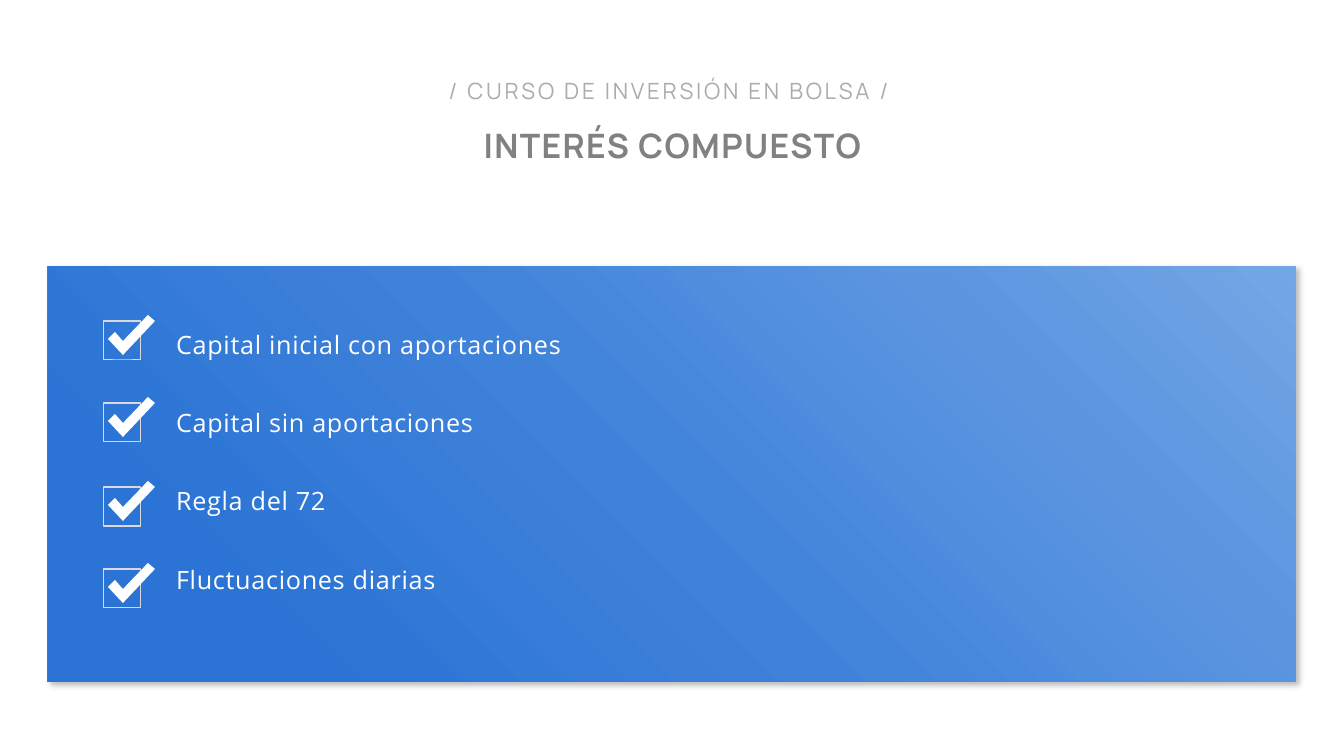
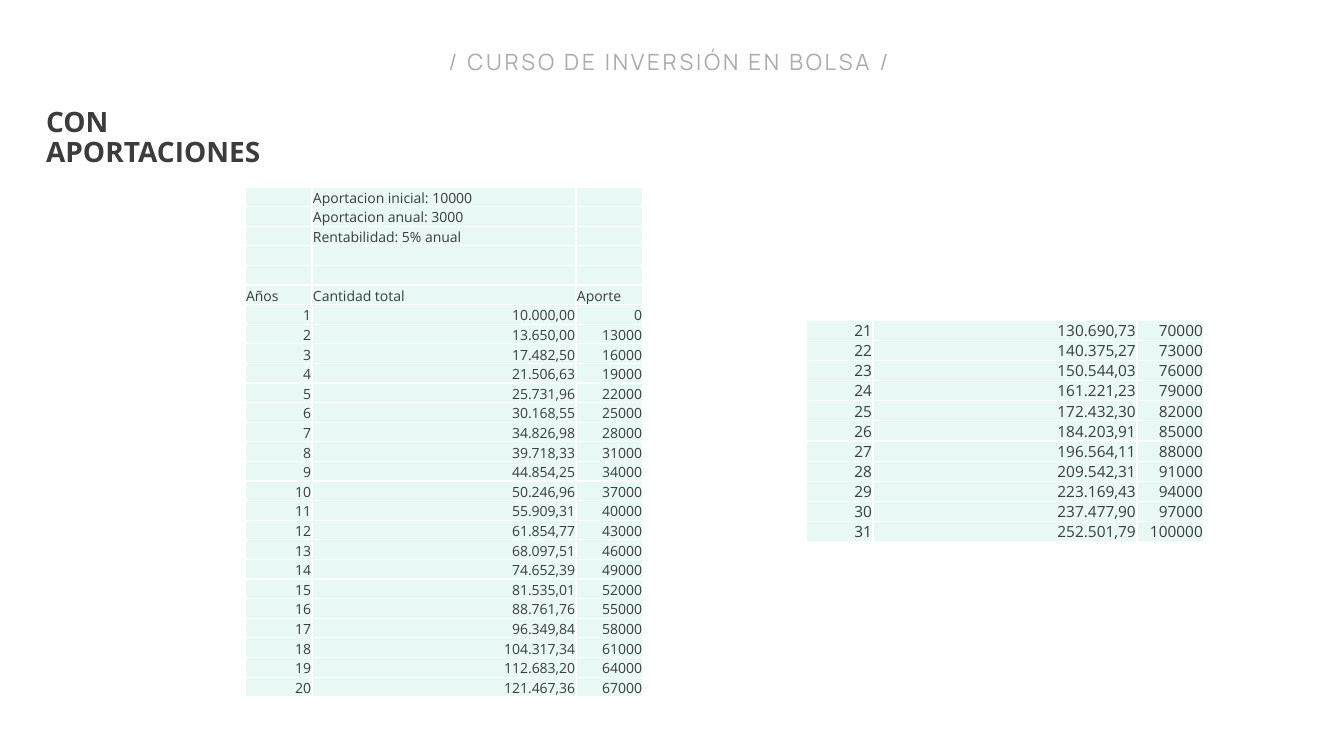
from lxml import etree
from pptx import Presentation
from pptx.dml.color import RGBColor
from pptx.enum.shapes import MSO_SHAPE
from pptx.enum.text import MSO_ANCHOR, MSO_AUTO_SIZE, PP_ALIGN
from pptx.oxml.ns import qn
from pptx.util import Pt

RECTANGLE = MSO_SHAPE.RECTANGLE
TOP, BOTTOM = MSO_ANCHOR.TOP, MSO_ANCHOR.BOTTOM
LEFT, CENTER, RIGHT = PP_ALIGN.LEFT, PP_ALIGN.CENTER, PP_ALIGN.RIGHT
NO_AUTOFIT = MSO_AUTO_SIZE.NONE

WHITE = RGBColor(0xFF, 0xFF, 0xFF)
DARK = RGBColor(0x3C, 0x3C, 0x3C)
TITLE_GRAY = RGBColor(0x81, 0x81, 0x81)
COURSE_GRAY = RGBColor(0xAC, 0xAC, 0xAC)
BOX_GRAY = RGBColor(0xD9, 0xD9, 0xD9)
SHADOW_GRAY = RGBColor(0x56, 0x56, 0x56)
MINT = RGBColor(0xE8, 0xF8, 0xF4)
PANEL_STOPS = [(0, RGBColor(0x73, 0xA6, 0xE5)), (23, RGBColor(0x5C, 0x96, 0xE0)),
               (53, RGBColor(0x3F, 0x82, 0xDA)), (84, RGBColor(0x2B, 0x74, 0xD5))]
HEADING_FONT, BODY_FONT = "Manrope", "Open Sans"
PX = 914400 / 100.8  # EMU per pixel


def px(*lengths):
    return [round(length * PX) for length in lengths]


def write(shape, box, lines, font, size, color, bold=False, align=LEFT,
          tracking=0, line_spacing=0.9, gap=0):
    """Place a text shape and fill it, one paragraph per line."""
    shape.left, shape.top, shape.width, shape.height = px(*box)
    frame = shape.text_frame
    frame.word_wrap = True
    frame.auto_size = NO_AUTOFIT
    frame.vertical_anchor = TOP
    for i, line in enumerate(lines):
        paragraph = frame.add_paragraph() if i else frame.paragraphs[0]
        paragraph.alignment = align
        paragraph.line_spacing = line_spacing
        paragraph.space_before, paragraph.space_after = Pt(0), Pt(gap)
        properties = paragraph._p.get_or_add_pPr()
        properties.set("marL", "0")
        properties.set("indent", "0")
        etree.SubElement(properties, qn("a:buNone"))
        run = paragraph.add_run()
        run.text = line
        run.font.name, run.font.size, run.font.bold = font, Pt(size), bold
        run.font.color.rgb = color
        run._r.get_or_add_rPr().set("spc", str(tracking))


prs = Presentation()
prs.slide_width, prs.slide_height = px(1344, 756)
topics = prs.slides.add_slide(prs.slide_layouts[1])
growth = prs.slides.add_slide(prs.slide_layouts[5])

# Course line on both slides
for slide, top in ((topics, 75), (growth, 46)):
    course = slide.shapes.add_textbox(*px(418, top, 502, 37))
    write(course, (418, top, 502, 37), ["/ CURSO DE INVERSIÓN EN BOLSA /"],
          HEADING_FONT, 16, COURSE_GRAY, align=CENTER, tracking=200)

# Titles
write(topics.shapes.title, (233, 124, 879, 50), ["INTERÉS COMPUESTO"],
      HEADING_FONT, 24, TITLE_GRAY, bold=True, align=CENTER, tracking=100)
write(growth.shapes.title, (36, 103, 300, 78), ["CON APORTACIONES"],
      BODY_FONT, 20, DARK, bold=True)

# Topic list
topic_list = topics.placeholders[1]
write(topic_list, (166, 309, 1109, 320),
      ["Capital inicial con aportaciones", "Capital sin aportaciones",
       "Regla del 72", "Fluctuaciones diarias"],
      BODY_FONT, 18, WHITE, tracking=50, line_spacing=1.5, gap=23.5)

# Gradient panel behind the list
panel = topics.shapes.add_shape(RECTANGLE, *px(48, 266, 1248, 416))
topic_list._element.addprevious(panel._element)
panel.line.fill.background()
panel.fill.gradient()
panel.fill.gradient_angle = 225
stops = panel._element.spPr.find(".//" + qn("a:gsLst"))
for stop in list(stops):
    stops.remove(stop)
for position, color in PANEL_STOPS:
    stop = etree.SubElement(stops, qn("a:gs"), pos=str(position * 1000))
    etree.SubElement(stop, qn("a:srgbClr"), val=str(color))
panel.shadow.inherit = False
effects = panel._element.spPr.find(qn("a:effectLst"))
shadow = etree.SubElement(effects, qn("a:outerShdw"), blurRad=str(Pt(4)),
                          dist=str(Pt(3)), dir="2700000", algn="tl", rotWithShape="0")
shadow_color = etree.SubElement(shadow, qn("a:srgbClr"), val=str(SHADOW_GRAY))
etree.SubElement(shadow_color, qn("a:alpha"), val="40000")

# Ticked boxes
TICK = [(7, 17), (15, 26), (40, 0), (47, 6), (15, 40), (0, 24)]
for box_top in (321, 403, 487, 569):
    checkbox = topics.shapes.add_shape(RECTANGLE, *px(104, box_top, 37, 39))
    checkbox.fill.background()
    checkbox.line.color.rgb = BOX_GRAY
    checkbox.line.width = Pt(0.75)
    checkbox.shadow.inherit = False

    outline = topics.shapes.build_freeform(*TICK[0], scale=PX)
    outline.add_line_segments(TICK[1:], close=True)
    tick = outline.convert_to_shape(*px(108, box_top - 6))
    tick.fill.solid()
    tick.fill.fore_color.rgb = WHITE
    tick.line.fill.background()
    tick.shadow.inherit = False

# Savings by year: 10000 at first, 3000 more each year
TOTALS = """10.000,00 13.650,00 17.482,50 21.506,63 25.731,96 30.168,55 34.826,98
    39.718,33 44.854,25 50.246,96 55.909,31 61.854,77 68.097,51 74.652,39 81.535,01
    88.761,76 96.349,84 104.317,34 112.683,20 121.467,36 130.690,73 140.375,27
    150.544,03 161.221,23 172.432,30 184.203,91 196.564,11 209.542,31 223.169,43
    237.477,90 252.501,79""".split()
years = [(str(year), total, str(10000 + 3000 * (year - 1) if year > 1 else 0))
         for year, total in enumerate(TOTALS, 1)]
intro = [("", "Aportacion inicial: 10000", ""), ("", "Aportacion anual: 3000", ""),
         ("", "Rentabilidad: 5% anual", ""), ("", "", ""), ("", "", ""),
         ("Años", "Cantidad total", "Aporte")]
COLUMNS = px(67, 264, 67)

# Tables: left, top, height, font size, rows, number of left-aligned rows
for left, top, height, size, rows, intro_count in (
        (245, 187, 510, 10, intro + years[:20], len(intro)),
        (806, 320, 222, 11, years[20:], 0)):
    savings = growth.shapes.add_table(len(rows), len(COLUMNS),
                                      *px(left, top, 398, height)).table
    savings.first_row = savings.horz_banding = False
    for column, width in zip(savings.columns, COLUMNS):
        column.width = width
    for r, row in enumerate(rows):
        savings.rows[r].height = px(height / len(rows))[0]
        for c, value in enumerate(row):
            cell = savings.cell(r, c)
            cell.margin_left, cell.margin_right, cell.margin_top, cell.margin_bottom = px(1, 1, 0, 0)
            cell.vertical_anchor = BOTTOM
            cell_properties = cell._tc.get_or_add_tcPr()
            for side in ("a:lnL", "a:lnR", "a:lnT", "a:lnB"):
                border = etree.SubElement(cell_properties, qn(side), w=str(Pt(1)))
                border_fill = etree.SubElement(border, qn("a:solidFill"))
                etree.SubElement(border_fill, qn("a:srgbClr"), val=str(WHITE))
            cell.fill.solid()
            cell.fill.fore_color.rgb = MINT

            paragraph = cell.text_frame.paragraphs[0]
            paragraph.alignment = LEFT if r < intro_count else RIGHT
            paragraph.line_spacing = 0.9
            if value:
                run = paragraph.add_run()
                run.text = value
                run.font.name, run.font.size = BODY_FONT, Pt(size)
                run.font.color.rgb = DARK
            else:
                etree.SubElement(paragraph._p, qn("a:endParaRPr"), sz=str(size * 100))

prs.save("out.pptx")
